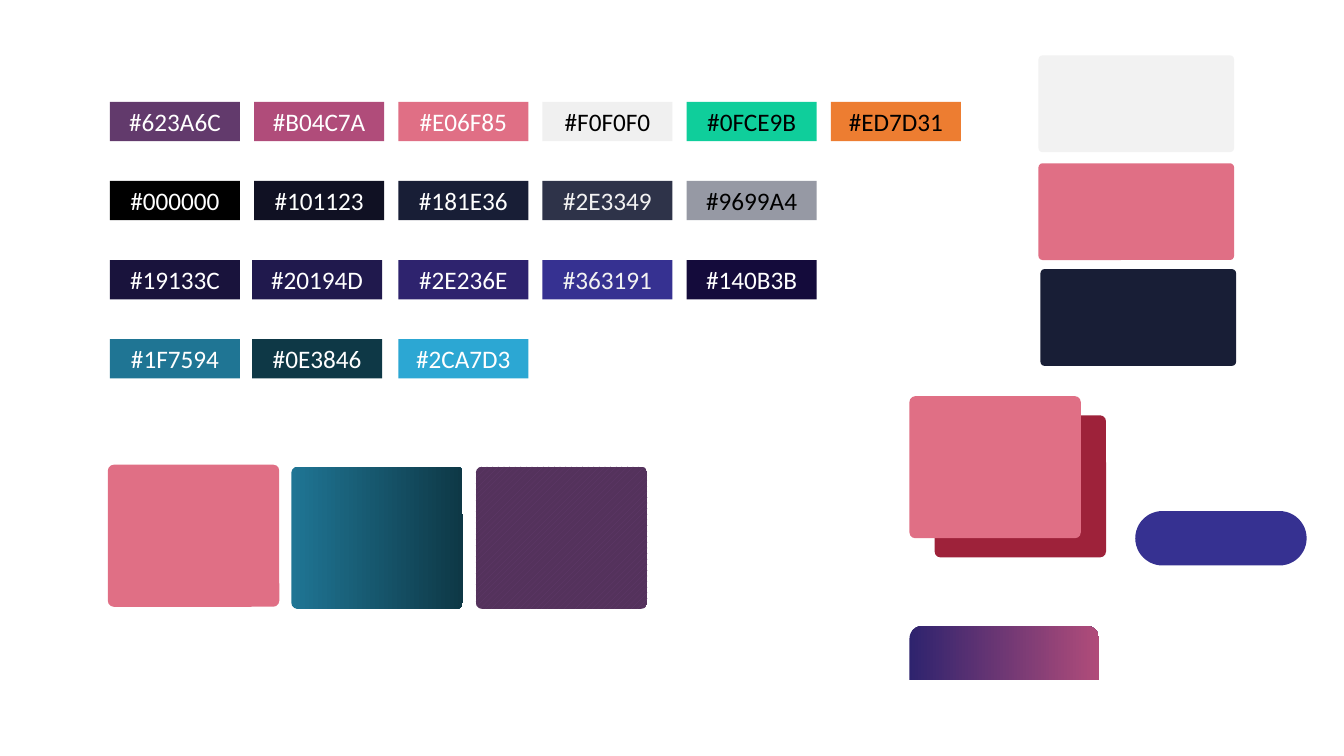
from pptx import Presentation
from pptx.dml.color import RGBColor
from pptx.enum import dml, shapes, text
from pptx.util import Inches, Pt

THEME = {
    "font": "Calibri", "label_size": 18,
    "white": "FFFFFF", "off_white": "F2F2F2", "black": "000000",
    "rose": "E06F85", "crimson": "9E223A", "navy": "181E36", "indigo": "363191",
    "teal_fade": ("1F7594", "0E3846"), "sunset_fade": ("2E236E", "B04C7A"),
    "stripe": "623A6C", "stripe_back": "54325C",
}

# Each row: shift of its second column, then (colour code, label colour)
PALETTE = [
    (0, [("623A6C", "white"), ("B04C7A", "white"), ("E06F85", "white"),
         ("F0F0F0", "black"), ("0FCE9B", "black"), ("ED7D31", "black")]),
    (0, [("000000", "white"), ("101123", "white"), ("181E36", "white"),
         ("2E3349", "off_white"), ("9699A4", "black")]),
    (-0.02, [("19133C", "white"), ("20194D", "white"), ("2E236E", "white"),
             ("363191", "off_white"), ("140B3B", "white")]),
    (-0.02, [("1F7594", "white"), ("0E3846", "white"), ("2CA7D3", "white")]),
]
SWATCH_LEFT, SWATCH_TOP = 1.09, 1.01
SWATCH_SIZE = (1.29, 0.39)
COLUMN_STEP, ROW_STEP = 1.43, 0.785

CARD, PANEL = (1.7, 1.41), (1.94, 0.96)
PILL, TAB = (1.7, 0.54), (1.88, 0.54)
ROUND = shapes.MSO_SHAPE.ROUNDED_RECTANGLE
ROUND_TOP = shapes.MSO_SHAPE.ROUND_2_SAME_RECTANGLE
CORNER = (0.042,)

# (preset, left, top, size, corner adjustments, fill kind, colour name)
SAMPLES = [
    (ROUND, 10.3, 0.55, PANEL, CORNER, "solid", "off_white"),
    (ROUND, 10.3, 1.62, PANEL, CORNER, "solid", "rose"),
    (ROUND, 10.32, 2.67, PANEL, CORNER, "solid", "navy"),
    (ROUND, 1.07, 4.61, CARD, CORNER, "solid", "rose"),
    (ROUND, 2.89, 4.63, CARD, CORNER, "fade", "teal_fade"),
    (ROUND, 4.72, 4.63, CARD, CORNER, "stripes", "stripe"),
    (ROUND, 9.27, 4.12, CARD, CORNER, "solid", "crimson"),
    (ROUND, 9.02, 3.93, CARD, CORNER, "solid", "rose"),
    (ROUND_TOP, 9.02, 6.21, TAB, (0.231, 0), "fade", "sunset_fade"),
    (ROUND, 11.26, 5.07, PILL, (0.5,), "solid", "indigo"),
]


def rgb(code):
    return RGBColor.from_string(code)


def add_block(slide, preset, left, top, size):
    """Add a preset shape without outline or shadow."""
    block = slide.shapes.add_shape(preset, *map(Inches, (left, top, *size)))
    block.shadow.inherit = False
    block.line.fill.background()
    return block


def paint(fill, kind, name):
    if kind == "solid":
        fill.solid()
        fill.fore_color.rgb = rgb(THEME[name])
    elif kind == "fade":
        fill.gradient()
        fill.gradient_angle = 0
        for stop, position, code in zip(fill.gradient_stops, (0, 1), THEME[name]):
            stop.position = position
            stop.color.rgb = rgb(code)
    else:
        fill.patterned()
        fill.pattern = dml.MSO_PATTERN.WIDE_UPWARD_DIAGONAL
        fill.fore_color.rgb = rgb(THEME[name])
        fill.back_color.rgb = rgb(THEME[name + "_back"])


def add_swatch(slide, left, top, code, label_colour):
    """Add a rectangle filled with the colour that its label names."""
    swatch = add_block(slide, shapes.MSO_SHAPE.RECTANGLE, left, top, SWATCH_SIZE)
    swatch.fill.solid()
    swatch.fill.fore_color.rgb = rgb(code)
    swatch.text_frame.vertical_anchor = text.MSO_ANCHOR.MIDDLE
    label = swatch.text_frame.paragraphs[0]
    label.alignment = text.PP_ALIGN.CENTER
    run = label.add_run()
    run.text = "#" + code
    for attribute, value in {"name": THEME["font"], "size": Pt(THEME["label_size"])}.items():
        setattr(run.font, attribute, value)
    run.font.color.rgb = rgb(THEME[label_colour])


def main():
    deck = Presentation()
    deck.slide_width, deck.slide_height = Inches(13.33), Inches(7.5)
    slide = deck.slides.add_slide(deck.slide_layouts[6])

    for row, (shift, swatches) in enumerate(PALETTE):
        for column, (code, label_colour) in enumerate(swatches):
            left = SWATCH_LEFT + column * COLUMN_STEP + (shift if column == 1 else 0)
            add_swatch(slide, left, SWATCH_TOP + row * ROW_STEP, code, label_colour)

    for preset, left, top, size, corners, kind, name in SAMPLES:
        sample = add_block(slide, preset, left, top, size)
        for index, corner in enumerate(corners):
            sample.adjustments[index] = corner
        paint(sample.fill, kind, name)

    deck.save("out.pptx")


if __name__ == "__main__":
    main()
